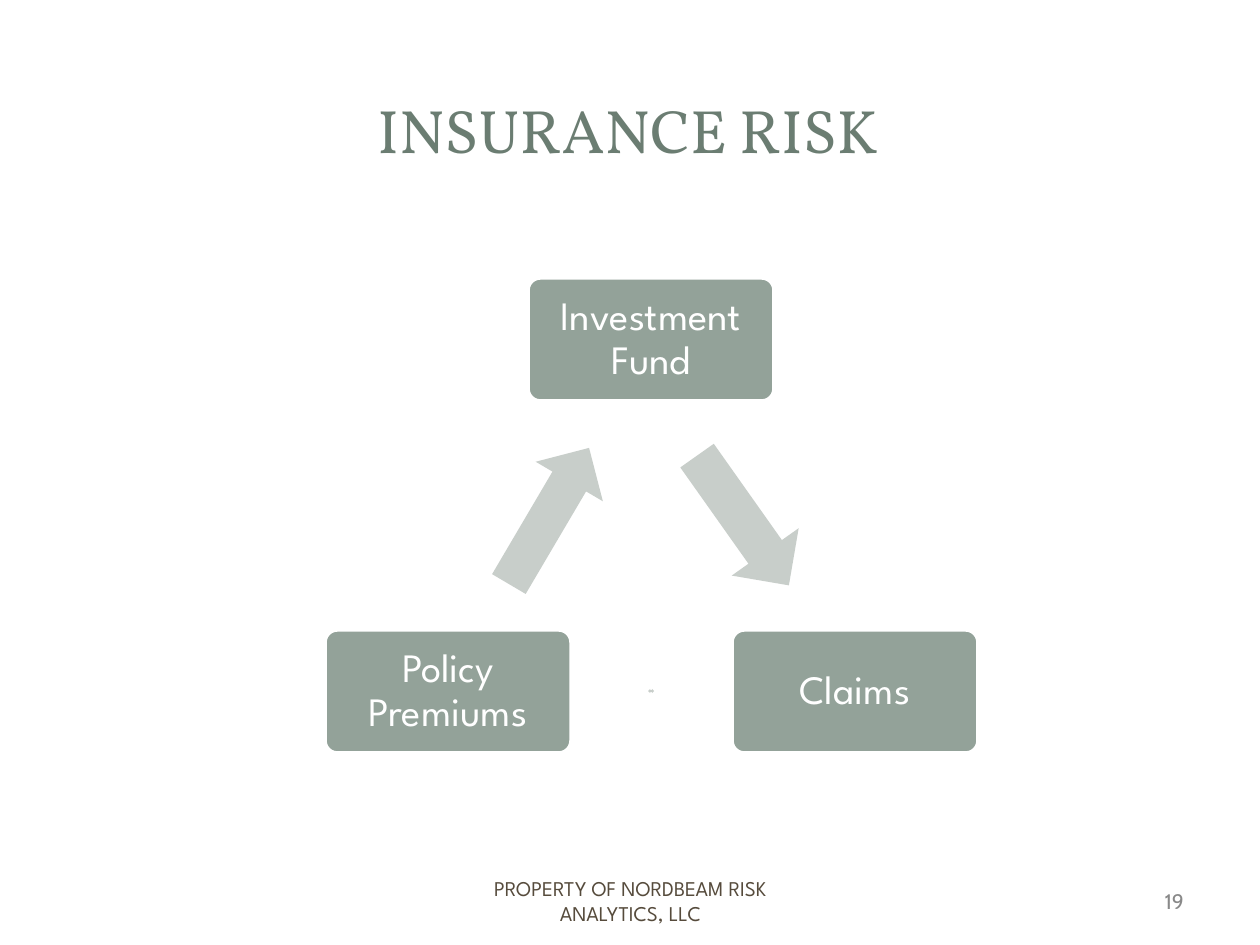
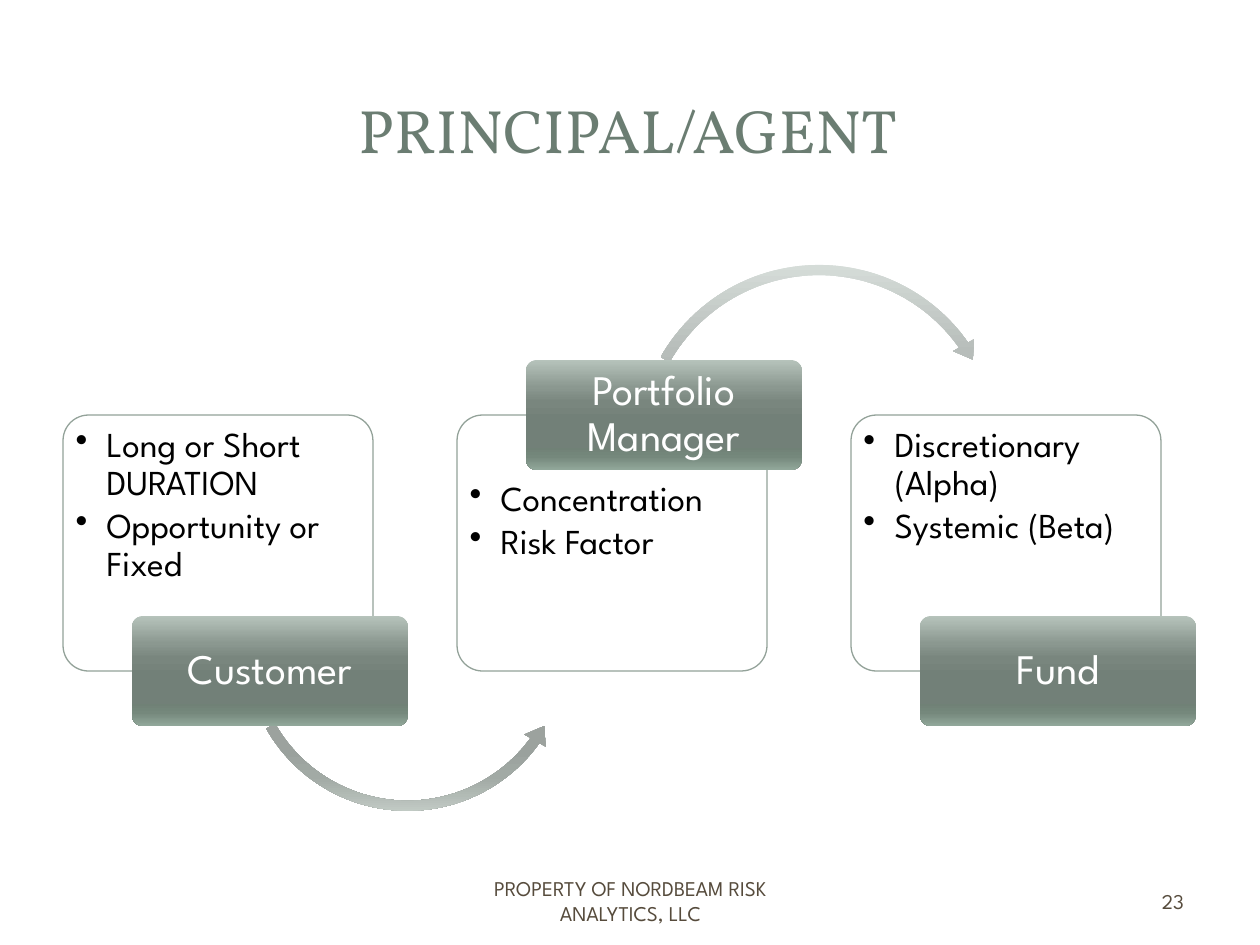
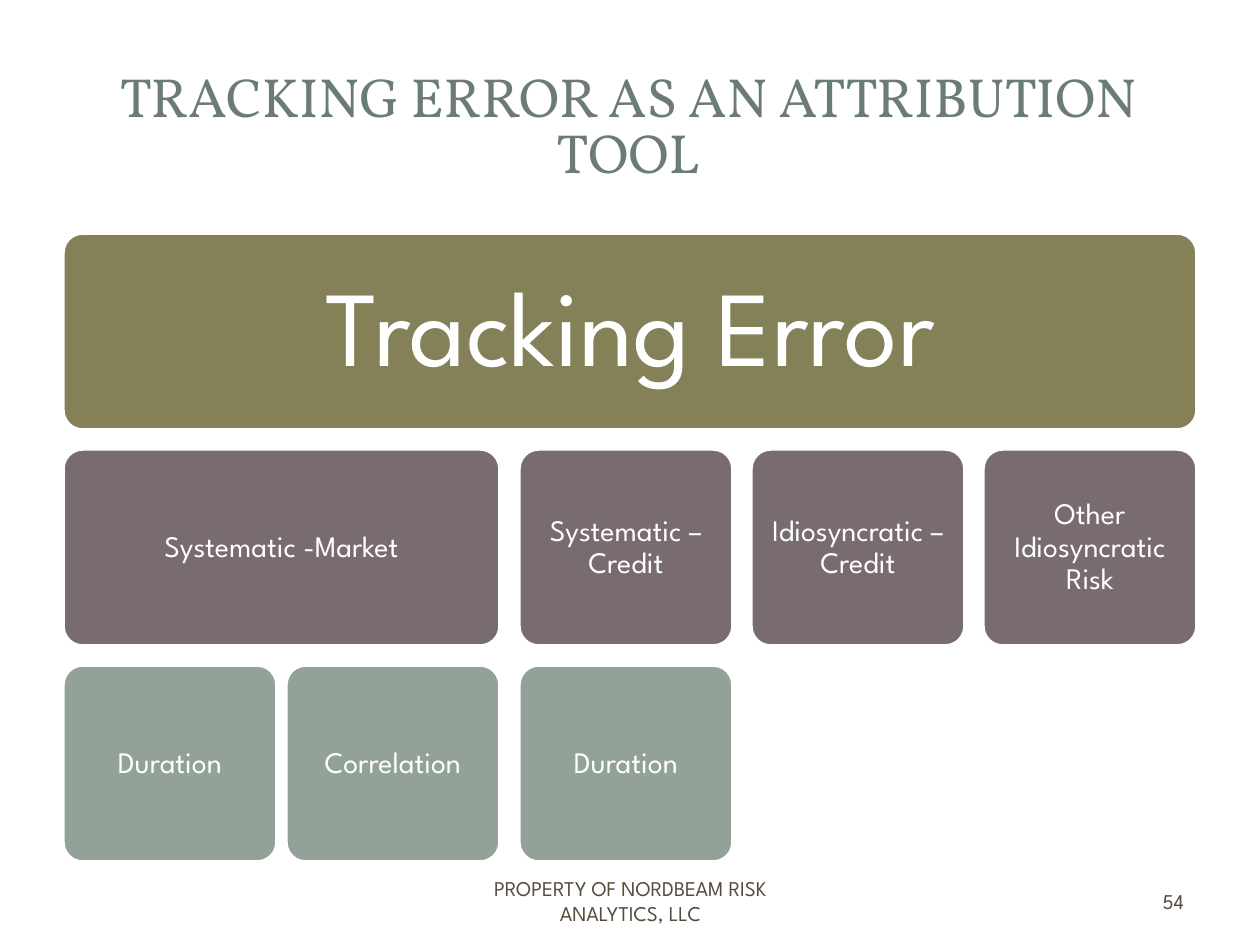
"""Build three slides on insurance risk, agency and tracking error."""
from lxml.etree import SubElement as Sub
from pptx import Presentation
from pptx.dml.color import RGBColor as Rgb
from pptx.enum.shapes import MSO_SHAPE as Kind
from pptx.enum.text import MSO_ANCHOR as Anchor, MSO_AUTO_SIZE as Fit, PP_ALIGN as Align
from pptx.oxml.ns import qn
from pptx.util import Emu, Pt

SAGE, PALE, WHITE, BLACK = "93A299", "C8CECA", "FFFFFF", "000000"
OLIVE, PLUM, BROWN, GREY, PINE = "848058", "786C71", "564B3C", "898989", "6B7D72"
BODY, HEAD = "League Spartan", "Vollkorn"
STOPS = (0, 25, 38, 55, 80, 88, 100)
LABEL = "B6C3BB 8B9890 79867E 728078 708176 75887C 91A79A".split()
CURVE = "D7DEDA B7BDBA A0A6A2 9CA29E 9AA19D A2AAA5 C7D0CA".split()


def px(size):
    return Emu(round(size * 914400 / 126))


def color(code):
    return Rgb.from_string(code)


def write(shape, text, size=12, font=BODY, ink=WHITE, align=Align.CENTER,
          anchor=Anchor.MIDDLE, pad=(13, 6, 13, 6), lead=None, after=0, dots=False):
    frame = shape.text_frame
    frame.word_wrap = True
    frame.auto_size = Fit.NONE
    frame.vertical_anchor = anchor
    (frame.margin_left, frame.margin_top,
     frame.margin_right, frame.margin_bottom) = map(px, pad)
    frame.text = text
    for para in frame.paragraphs:
        para.alignment = align
        para.space_after = Pt(after)
        if lead:
            para.line_spacing = lead
        if dots:
            props = para._p.get_or_add_pPr()
            props.set("marL", str(px(31)))
            props.set("indent", str(-px(31)))
            Sub(props, qn("a:buChar")).set("char", "•")
        for run in para.runs:
            run.font.name = font
            run.font.size = Pt(size)
            run.font.color.rgb = color(ink)


class Deck:
    """Holds the file, its shared style and the current slide."""

    def __init__(self):
        self.file = Presentation()
        self.file.slide_width, self.file.slide_height = px(1260), px(945)

    def place(self, shape, x, y, wide, high):
        shape.left, shape.top, shape.width, shape.height = map(px, (x, y, wide, high))

    def page(self, title, number, size=35, lead=None, font=BODY, ink=BROWN):
        self.slide = self.file.slides.add_slide(self.file.slide_layouts[5])
        head = self.slide.shapes.title
        self.place(head, 59, 57, 1138, 144)
        write(head, title, size=size, font=HEAD, ink=PINE, lead=lead)
        self.note(431, 399, "PROPERTY OF NORDBEAM RISK ANALYTICS, LLC", ink=BROWN)
        self.note(903, 294, number, font=font, ink=ink, align=Align.RIGHT)

    def note(self, x, wide, text, **style):
        box = self.slide.shapes.add_textbox(px(x), px(876), px(wide), px(50))
        write(box, text, **style)

    def form(self, kind, x, y, wide, high, fill, line=None, width=2, turn=0, adj=()):
        shape = self.slide.shapes.add_shape(kind, *map(px, (x, y, wide, high)))
        shape.shadow.inherit = False
        shape.rotation = turn
        for i, part in enumerate(adj):
            shape.adjustments[i] = part / 1000
        if isinstance(fill, str):
            shape.fill.solid()
            shape.fill.fore_color.rgb = color(fill)
        else:
            self.blend(shape, fill)
        if line:
            shape.line.color.rgb = color(line)
            shape.line.width = Pt(width)
        else:
            shape.line.fill.background()
        return shape

    def blend(self, shape, tones):
        shape.fill.gradient()
        grad = shape._element.spPr.find(qn("a:gradFill"))
        grad.find(qn("a:lin")).set("ang", "5400000")
        stops = grad.find(qn("a:gsLst"))
        for old in list(stops):
            stops.remove(old)
        for at, tone in zip(STOPS, tones):
            stop = Sub(stops, qn("a:gs"))
            stop.set("pos", str(at * 1000))
            Sub(stop, qn("a:srgbClr")).set("val", tone)

    def tile(self, x, y, wide, high, fill, text, size, pad, line=WHITE):
        box = self.form(Kind.ROUNDED_RECTANGLE, x, y, wide, high, fill, line, adj=(100,))
        write(box, text, size=size, pad=pad, lead=0.9)

    def card(self, x, y, text, top):
        box = self.form(Kind.ROUNDED_RECTANGLE, x, y, 310, 256, WHITE, SAGE, 0.75, adj=(100,))
        write(box, text, size=20, ink=BLACK, align=Align.LEFT, anchor=Anchor.TOP,
              pad=(5, top, 5, 5), lead=0.9, after=3, dots=True)


def cycle(deck):
    deck.page("INSURANCE RISK", "19", font="Cabin", ink=GREY)
    for x, y, text in ((528, 278, "Investment Fund"), (732, 630, "Claims"),
                       (325, 630, "Policy Premiums")):
        deck.tile(x, y, 246, 123, SAGE, text, 23, (12,) * 4)
    deck.form(Kind.DOWN_ARROW, 702, 441, 82, 159, PALE, turn=324.7)
    deck.form(Kind.LEFT_RIGHT_ARROW, 648, 689, 6, 4, PALE, turn=180, adj=(600, 500))
    deck.form(Kind.UP_ARROW, 510, 437, 78, 158, PALE, turn=30.5)


def agent(deck):
    deck.page("PRINCIPAL/AGENT", "23")
    steps = (
        ("Customer", "Long or Short DURATION\nOpportunity or Fixed", 616, 5,
         (Kind.LEFT_CIRCULAR_ARROW, 238, 479, 339, (30, 3741, 21497, 90245, 36))),
        ("Portfolio Manager", "Concentration\nRisk Factor", 360, 59,
         (Kind.CIRCULAR_ARROW, 630, 258, 378, (27, 3324, 194921, 125755, 32))),
        ("Fund", "Discretionary (Alpha)\nSystemic (Beta)", 616, 5, None),
    )
    for i, (name, text, y, top, bend) in enumerate(steps):
        x = 63 + 394 * i
        deck.card(x, 415, text, top)
        if bend:
            kind, left, high, side, adj = bend
            deck.form(kind, left, high, side, side, CURVE, adj=adj)
        deck.tile(x + 69, y, 276, 110, LABEL, name, 24, (6, 4, 6, 4), line=None)


def tree(deck):
    deck.page("TRACKING ERROR AS AN ATTRIBUTION TOOL", "54", size=31.5, lead=0.85)
    cols = [63, 286] + [519 + 232 * i for i in range(3)]
    rows = (
        (OLIVE, 61, 31, (("Tracking Error", 0, 4),)),
        (PLUM, 17, 9, (("Systematic -Market", 0, 1), ("Systematic – Credit", 2, 2),
                       ("Idiosyncratic – Credit", 3, 3),
                       ("Other Idiosyncratic Risk", 4, 4))),
        (SAGE, 17, 9, (("Duration", 0, 0), ("Correlation", 1, 1), ("Duration", 2, 2))),
    )
    for i, (fill, size, pad, cells) in enumerate(rows):
        for text, first, last in cells:
            wide = cols[last] + 214 - cols[first]
            deck.tile(cols[first], 233 + 216 * i, wide, 197, fill, text, size, (pad,) * 4)


def main():
    deck = Deck()
    for build in (cycle, agent, tree):
        build(deck)
    deck.file.save("out.pptx")


if __name__ == "__main__":
    main()
